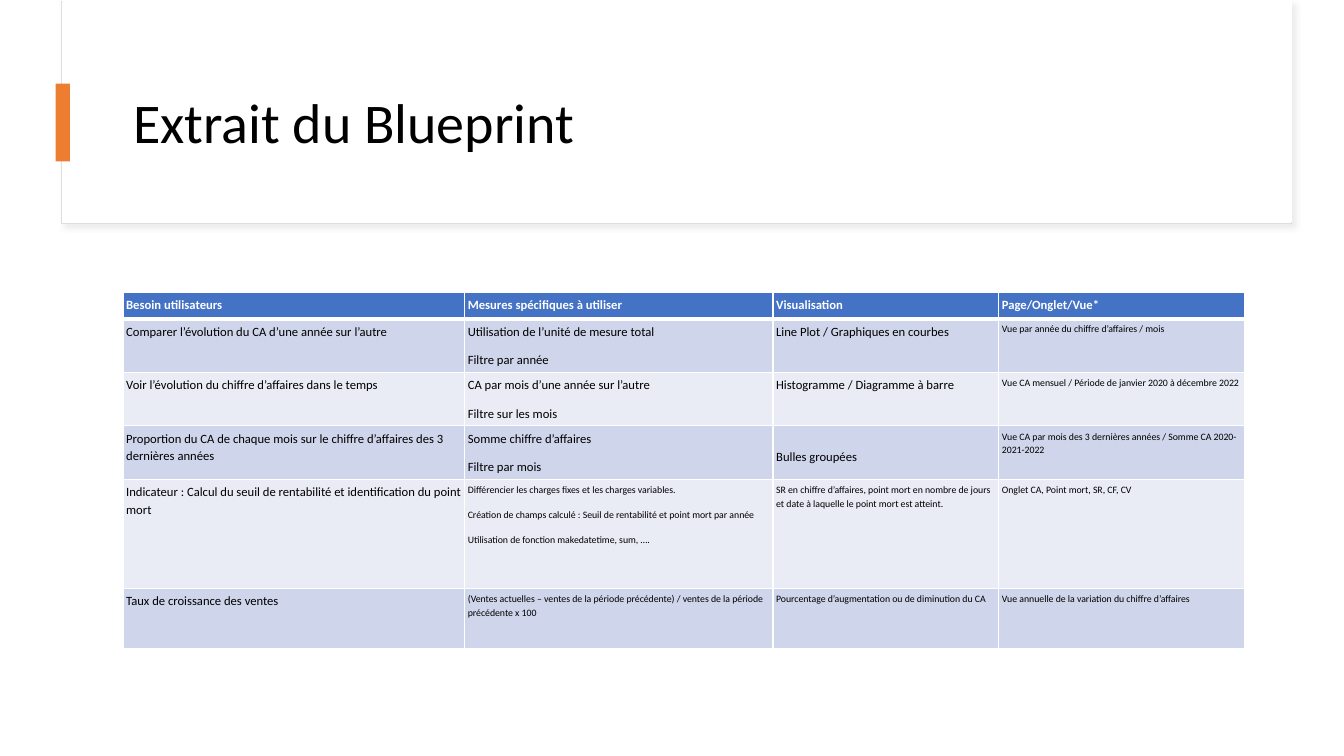
from lxml.etree import SubElement
from pptx import Presentation
from pptx.dml.color import RGBColor
from pptx.enum.shapes import MSO_SHAPE
from pptx.enum.text import MSO_ANCHOR, PP_ALIGN
from pptx.oxml import parse_xml
from pptx.oxml.ns import nsdecls, qn
from pptx.util import Cm, Pt

COLUMN_WIDTHS = [8.61, 7.77, 5.69, 6.2]
ROW_HEIGHTS = [0.66, 1.35, 1.35, 1.35, 2.74, 1.52]
# Each line of a cell is one paragraph
BLUEPRINT = [
    ["Besoin utilisateurs", "Mesures spécifiques à utiliser", "Visualisation", "Page/Onglet/Vue*"],
    ["Comparer l’évolution du CA d’une année sur l’autre",
     "Utilisation de l’unité de mesure total\nFiltre par année",
     "Line Plot / Graphiques en courbes",
     "Vue par année du chiffre d’affaires / mois"],
    ["Voir l’évolution du chiffre d’affaires dans le temps",
     "CA par mois d’une année sur l’autre\nFiltre sur les mois",
     "Histogramme / Diagramme à barre",
     "Vue CA mensuel / Période de janvier 2020 à décembre 2022"],
    ["Proportion du CA de chaque mois sur le chiffre d’affaires des 3 dernières années",
     "Somme chiffre d’affaires\nFiltre par mois",
     "Bulles groupées",
     "Vue CA par mois des 3 dernières années / Somme CA 2020-2021-2022"],
    ["Indicateur : Calcul du seuil de rentabilité et identification du point mort",
     "Différencier les charges fixes et les charges variables.\n"
     "Création de champs calculé : Seuil de rentabilité et point mort par année\n"
     "Utilisation de fonction makedatetime, sum, ….",
     "SR en chiffre d’affaires, point mort en nombre de jours et date à laquelle "
     "le point mort est atteint.",
     "Onglet CA, Point mort, SR, CF, CV"],
    ["Taux de croissance des ventes",
     "(Ventes actuelles – ventes de la période précédente) / ventes de la période précédente x 100",
     "Pourcentage d’augmentation ou de diminution du CA",
     "Vue annuelle de la variation du chiffre d’affaires"],
]


def color(hex_value):
    return RGBColor.from_string(hex_value)


def apply(target, values):
    for name, value in values.items():
        setattr(target, name, value)


class BlueprintSlide:
    font_name = "Calibri"
    black, white, accent = "000000", "FFFFFF", "ED7D31"
    header_fill, band_fills = "4472C4", ["E9EBF5", "CFD5EA"]
    cell_margin = Cm(0.08)

    def __init__(self, presentation):
        self.slide = presentation.slides.add_slide(presentation.slide_layouts[5])

    def style_text(self, paragraph, size, text_color, bold=False, **spacing):
        apply(paragraph.font, {"name": self.font_name, "size": Pt(size), "bold": bold})
        paragraph.font.color.rgb = color(text_color)
        apply(paragraph, {"alignment": PP_ALIGN.LEFT, **spacing})

    def add_rectangle(self, left, top, width, height, fill, line=None):
        shape = self.slide.shapes.add_shape(
            MSO_SHAPE.RECTANGLE, Cm(left), Cm(top), Cm(width), Cm(height))
        shape.shadow.inherit = False
        shape.fill.solid()
        shape.fill.fore_color.rgb = color(fill)
        if line:
            shape.line.color.rgb = color(line)
            shape.line.width = Pt(0.75)
        else:
            shape.line.fill.background()
        return shape

    def add_shadow(self, shape):
        effects = shape._element.spPr.find(qn("a:effectLst"))
        effects.append(parse_xml(
            f'<a:outerShdw {nsdecls("a")} blurRad="{Pt(4)}" dist="{Pt(3)}" dir="2700000" '
            'algn="tl" rotWithShape="0"><a:srgbClr val="D9D9D9"><a:alpha val="50000"/>'
            '</a:srgbClr></a:outerShdw>'))

    def set_title(self, text, left, top, width, height):
        title = self.slide.shapes.title
        apply(title, {"left": Cm(left), "top": Cm(top), "width": Cm(width), "height": Cm(height)})
        title.text_frame.text = text
        apply(title.text_frame, {"vertical_anchor": MSO_ANCHOR.MIDDLE, "word_wrap": True})
        self.style_text(title.text_frame.paragraphs[0], 40, self.black, line_spacing=0.9)
        # Bring the title in front of the panel
        title._element.getparent().append(title._element)

    def set_borders(self, cell, widths):
        properties = cell._tc.get_or_add_tcPr()
        for position, (side, width) in enumerate(widths.items()):
            border = SubElement(properties, qn(f"a:ln{side}"), w=str(Pt(width)))
            fill = SubElement(border, qn("a:solidFill"))
            SubElement(fill, qn("a:srgbClr"), val=self.white)
            properties.insert(position, border)

    def fill_cell(self, cell, text, row, column):
        header = row == 0
        small = not header and (column == 3 or (row >= 4 and column > 0))
        margins = ["margin_left", "margin_right", "margin_top", "margin_bottom"]
        apply(cell, dict.fromkeys(margins, self.cell_margin))
        cell.fill.solid()
        cell.fill.fore_color.rgb = color(self.header_fill if header else self.band_fills[row % 2])
        cell.text_frame.text = text
        for index, paragraph in enumerate(cell.text_frame.paragraphs):
            self.style_text(paragraph, 7 if small else 9, self.white if header else self.black,
                            bold=header, line_spacing=1.15, space_before=Pt(8 if index else 0))
        self.set_borders(cell, {"L": 1, "R": 1, "T": 3 if row == 1 else 1, "B": 3 if header else 1})

    def add_table(self, left, top, rows, column_widths, row_heights):
        table = self.slide.shapes.add_table(
            len(rows), len(column_widths), Cm(left), Cm(top),
            Cm(sum(column_widths)), Cm(sum(row_heights))).table
        for column, width in zip(table.columns, column_widths):
            column.width = Cm(width)
        for row, height in zip(table.rows, row_heights):
            row.height = Cm(height)
        for row, texts in enumerate(rows):
            for column, text in enumerate(texts):
                self.fill_cell(table.cell(row, column), text, row, column)
        return table


def main():
    presentation = Presentation()
    apply(presentation, {"slide_width": Cm(33.87), "slide_height": Cm(19.05)})
    blueprint = BlueprintSlide(presentation)

    # Title panel with its shadow and accent bar
    panel = blueprint.add_rectangle(1.55, 0.03, 31.01, 5.61, blueprint.white, line="DEDEDE")
    blueprint.add_shadow(panel)
    blueprint.add_rectangle(1.57, 0, 30.99, 5.59, blueprint.white)
    blueprint.set_title("Extrait du Blueprint", 3.1, 1.52, 28.24, 3.28)
    blueprint.add_rectangle(1.4, 2.11, 0.36, 1.96, blueprint.accent)

    # Table of needs, with one cell set a line lower
    table = blueprint.add_table(3.1, 7.37, BLUEPRINT, COLUMN_WIDTHS, ROW_HEIGHTS)
    table.cell(3, 2).margin_top = Cm(0.53)

    presentation.save("out.pptx")


if __name__ == "__main__":
    main()
